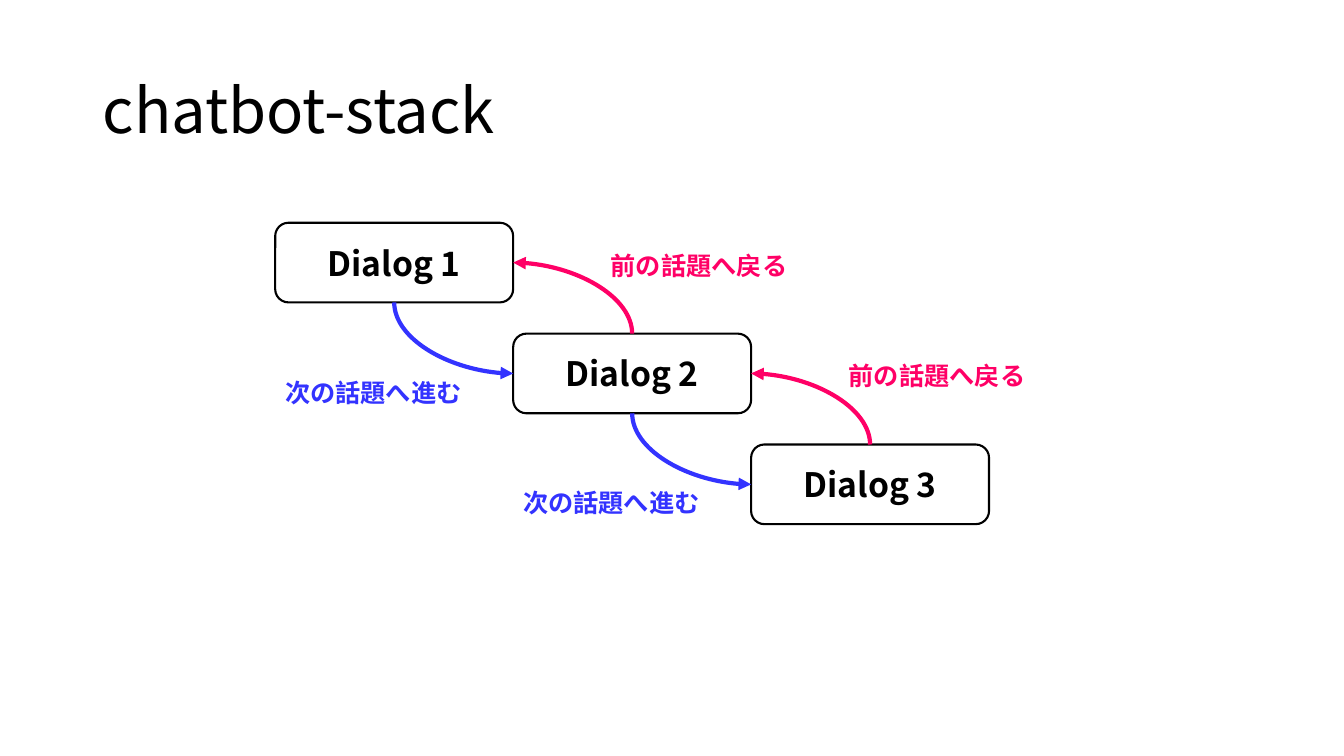
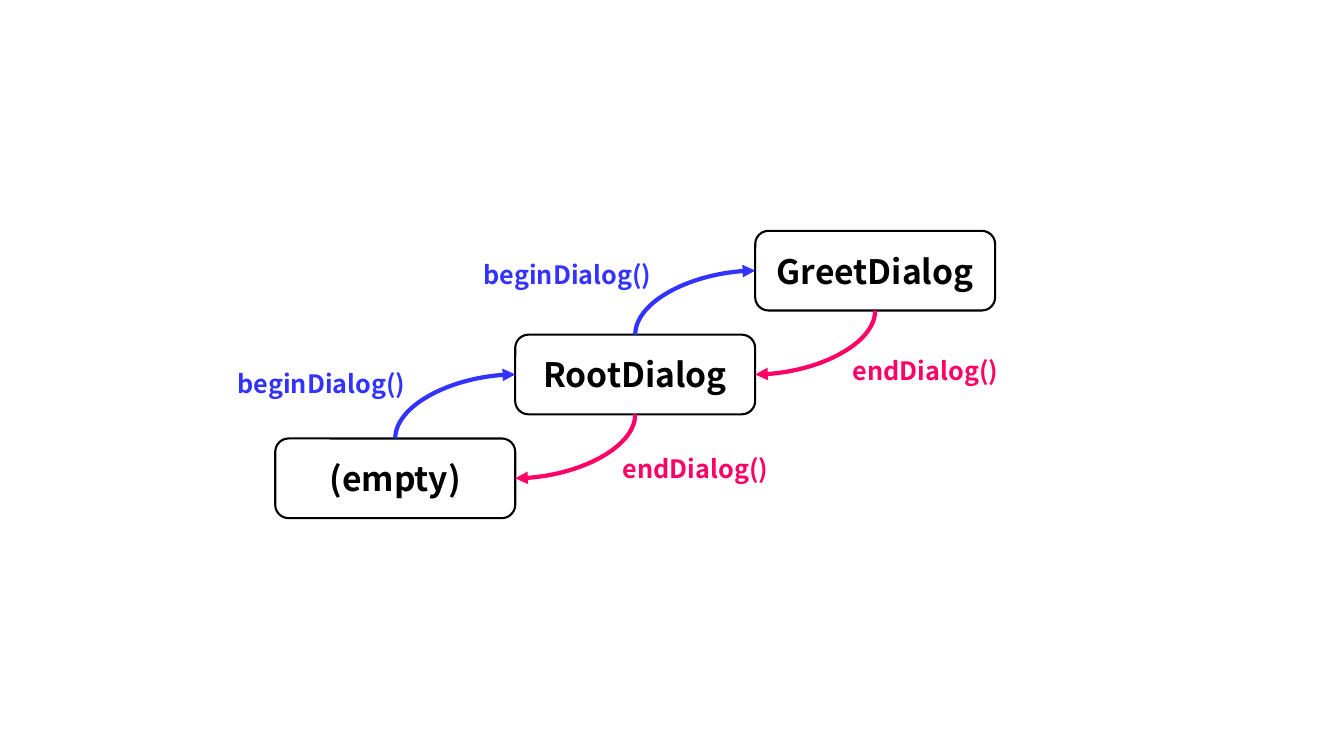
from dataclasses import dataclass
from itertools import pairwise

from lxml import etree
from pptx import Presentation
from pptx.dml import color as dml
from pptx.enum import shapes, text
from pptx.oxml import ns
from pptx.util import Inches, Pt

TOP, LEFT, BOTTOM, RIGHT = range(4)  # connection sites of a box


@dataclass(frozen=True)
class Theme:
    font: str = "Noto Sans CJK JP"
    ink: str = "000000"
    paper: str = "FFFFFF"
    forward: str = "3333FF"
    back: str = "FF0066"
    title_size: int = 44
    box_size: int = 24
    label_size: int = 18
    border: float = 1.5
    arrow: float = 3
    box_height: float = 0.79
    label_width: float = 2.2
    label_height: float = 0.4


def rgb(value):
    return dml.RGBColor.from_string(value)


class DialogDeck:
    def __init__(self, theme):
        self.theme = theme
        self.deck = Presentation()
        self.deck.slide_width = Inches(13.33)
        self.deck.slide_height = Inches(7.5)
        self.page = None

    def new_page(self):
        self.page = self.deck.slides.add_slide(self.deck.slide_layouts[6])

    def set_text(self, shape, words, size, color, bold=True, align=text.PP_ALIGN.LEFT):
        frame = shape.text_frame
        frame.word_wrap = True
        para = frame.paragraphs[0]
        para.text = words
        para.alignment = align
        font = para.font
        font.name, font.size, font.bold = self.theme.font, Pt(size), bold
        font.color.rgb = rgb(color)
        latin = para._p.pPr.find(ns.qn("a:defRPr")).find(ns.qn("a:latin"))
        east_asian = etree.Element(ns.qn("a:ea"), typeface=self.theme.font)
        latin.addnext(east_asian)
        return frame

    def title(self, words):
        box = self.page.shapes.add_textbox(
            Inches(0.92), Inches(0.4), Inches(11.5), Inches(1.45))
        frame = self.set_text(box, words, self.theme.title_size, self.theme.ink, bold=False)
        frame.vertical_anchor = text.MSO_ANCHOR.MIDDLE
        frame.paragraphs[0].line_spacing = 0.9

    def dialog(self, words, left, top, width):
        box = self.page.shapes.add_shape(
            shapes.MSO_SHAPE.ROUNDED_RECTANGLE,
            Inches(left), Inches(top), Inches(width), Inches(self.theme.box_height))
        box.shadow.inherit = False
        box.fill.solid()
        box.fill.fore_color.rgb = rgb(self.theme.paper)
        box.line.color.rgb = rgb(self.theme.ink)
        box.line.width = Pt(self.theme.border)
        frame = self.set_text(box, words, self.theme.box_size, self.theme.ink,
                              align=text.PP_ALIGN.CENTER)
        frame.vertical_anchor = text.MSO_ANCHOR.MIDDLE
        return box

    def staircase(self, names, left, top, width, rise):
        """Place dialogs corner to corner; rise is the step down per dialog."""
        return [self.dialog(name, left + i * width, top + i * rise, width)
                for i, name in enumerate(names)]

    def label(self, words, left, top, color, align=text.PP_ALIGN.LEFT):
        box = self.page.shapes.add_textbox(
            Inches(left), Inches(top),
            Inches(self.theme.label_width), Inches(self.theme.label_height))
        frame = self.set_text(box, words, self.theme.label_size, color, align=align)
        frame.auto_size = text.MSO_AUTO_SIZE.SHAPE_TO_FIT_TEXT

    def arrow(self, source, source_site, target, target_site, color):
        """Draw a glued quarter curve that leaves vertically and arrives sideways."""
        line = self.page.shapes.add_connector(shapes.MSO_CONNECTOR.CURVE, 0, 0, 0, 0)
        line.begin_connect(source, source_site)
        line.end_connect(target, target_site)
        # The preset leaves sideways, so its frame is turned by 90 degrees.
        dx, dy = line.end_x - line.begin_x, line.end_y - line.begin_y
        middle_x, middle_y = line.begin_x + dx // 2, line.begin_y + dy // 2
        line.begin_x, line.begin_y = middle_x - dy // 2, middle_y + dx // 2
        line.end_x, line.end_y = middle_x + dy // 2, middle_y - dx // 2
        properties = line._element.spPr
        properties.find(ns.qn("a:xfrm")).set("rot", "5400000")
        properties.find(ns.qn("a:prstGeom")).set("prst", "curvedConnector2")
        line.line.color.rgb = rgb(color)
        line.line.width = Pt(self.theme.arrow)
        outline = properties.find(ns.qn("a:ln"))
        etree.SubElement(outline, ns.qn("a:tailEnd"), type="triangle")
        etree.SubElement(properties, ns.qn("a:effectLst"))


def build_topic_stack(deck):
    theme = deck.theme
    deck.new_page()
    deck.title("chatbot-stack")
    left, top, width, rise = 2.73, 2.21, 2.36, 1.1
    boxes = deck.staircase(
        ["Dialog 1", "Dialog 2", "Dialog 3"], left, top, width, rise)
    for i, (upper, lower) in enumerate(pairwise(boxes)):
        x, y = left + i * width, top + i * rise
        deck.arrow(upper, BOTTOM, lower, LEFT, theme.forward)
        deck.arrow(lower, TOP, upper, RIGHT, theme.back)
        deck.label("次の話題へ進む", x, y + 1.48, theme.forward)
        deck.label("前の話題へ戻る", x + 3.23, y + 0.22, theme.back)


def build_call_stack(deck):
    theme = deck.theme
    deck.new_page()
    boxes = deck.staircase(
        ["(empty)", "RootDialog", "GreetDialog"], 2.73, 4.35, 2.38, -1.03)
    for lower, upper in pairwise(boxes):
        deck.arrow(lower, TOP, upper, LEFT, theme.forward)
        deck.arrow(upper, BOTTOM, lower, RIGHT, theme.back)
    for left, top in [(1.92, 3.6), (4.36, 2.52)]:
        deck.label("beginDialog()", left, top, theme.forward, text.PP_ALIGN.RIGHT)
    for left, top in [(6.08, 4.45), (8.36, 3.48)]:
        deck.label("endDialog()", left, top, theme.back)


def main():
    deck = DialogDeck(Theme())
    build_topic_stack(deck)
    build_call_stack(deck)
    deck.deck.save("out.pptx")


if __name__ == "__main__":
    main()
